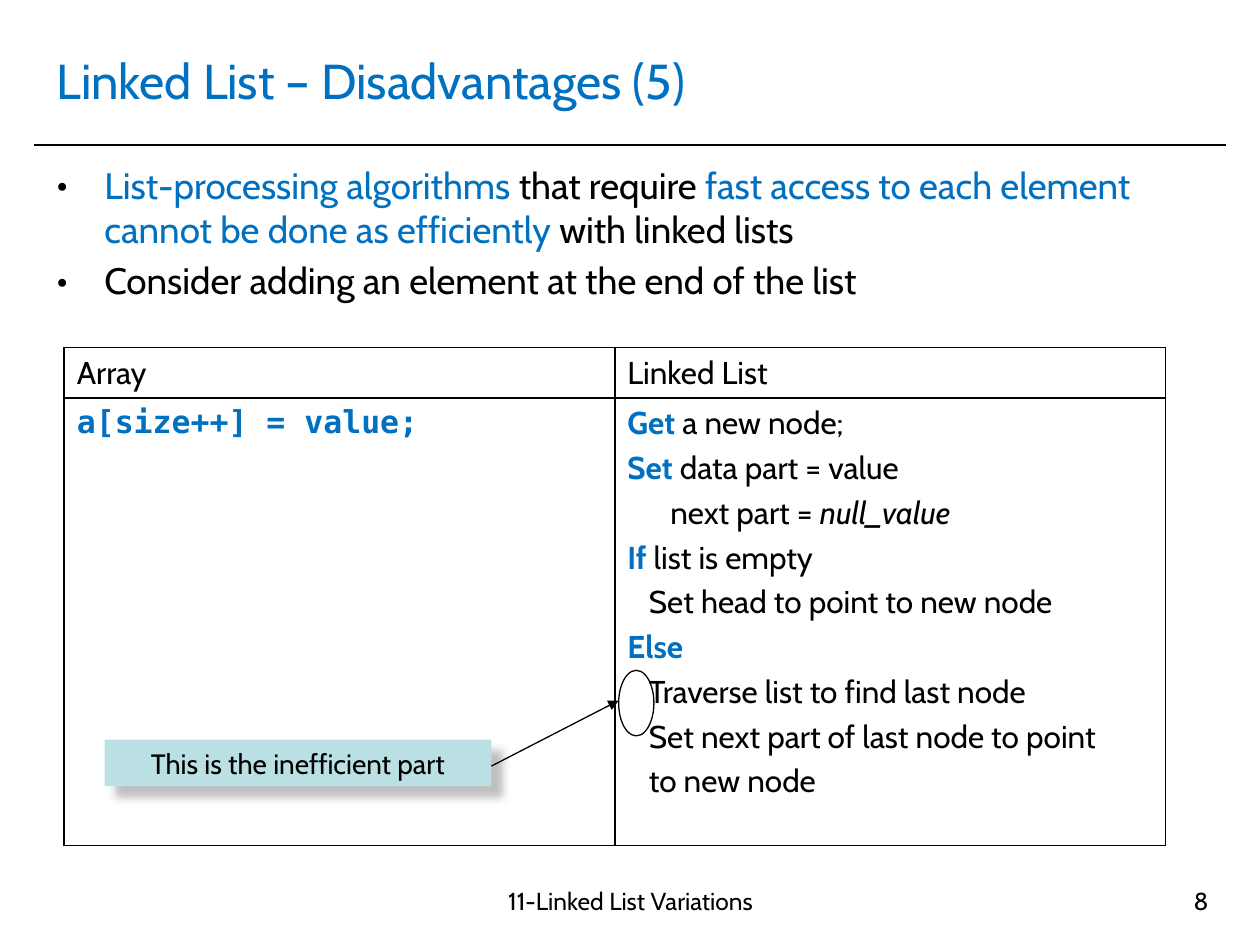
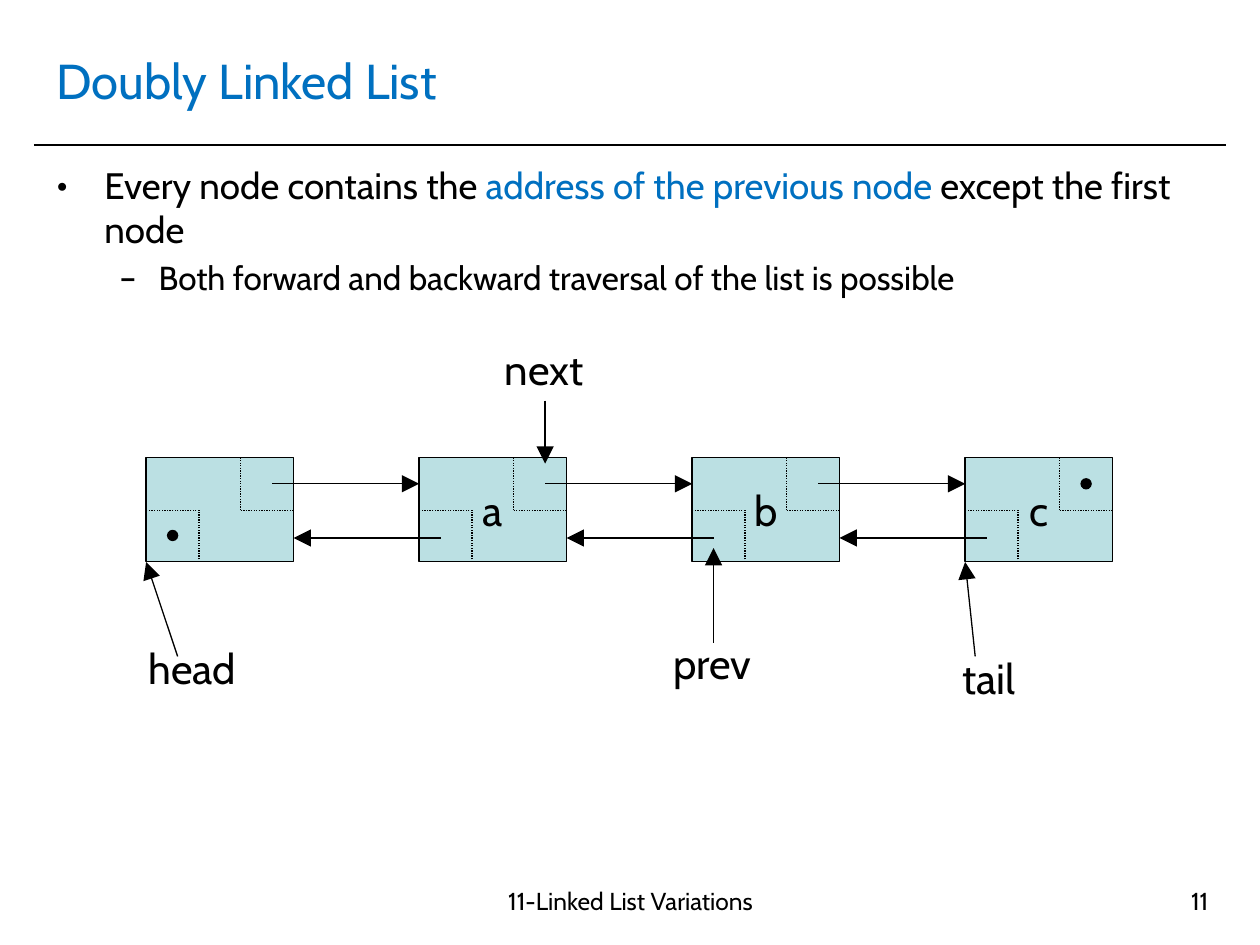
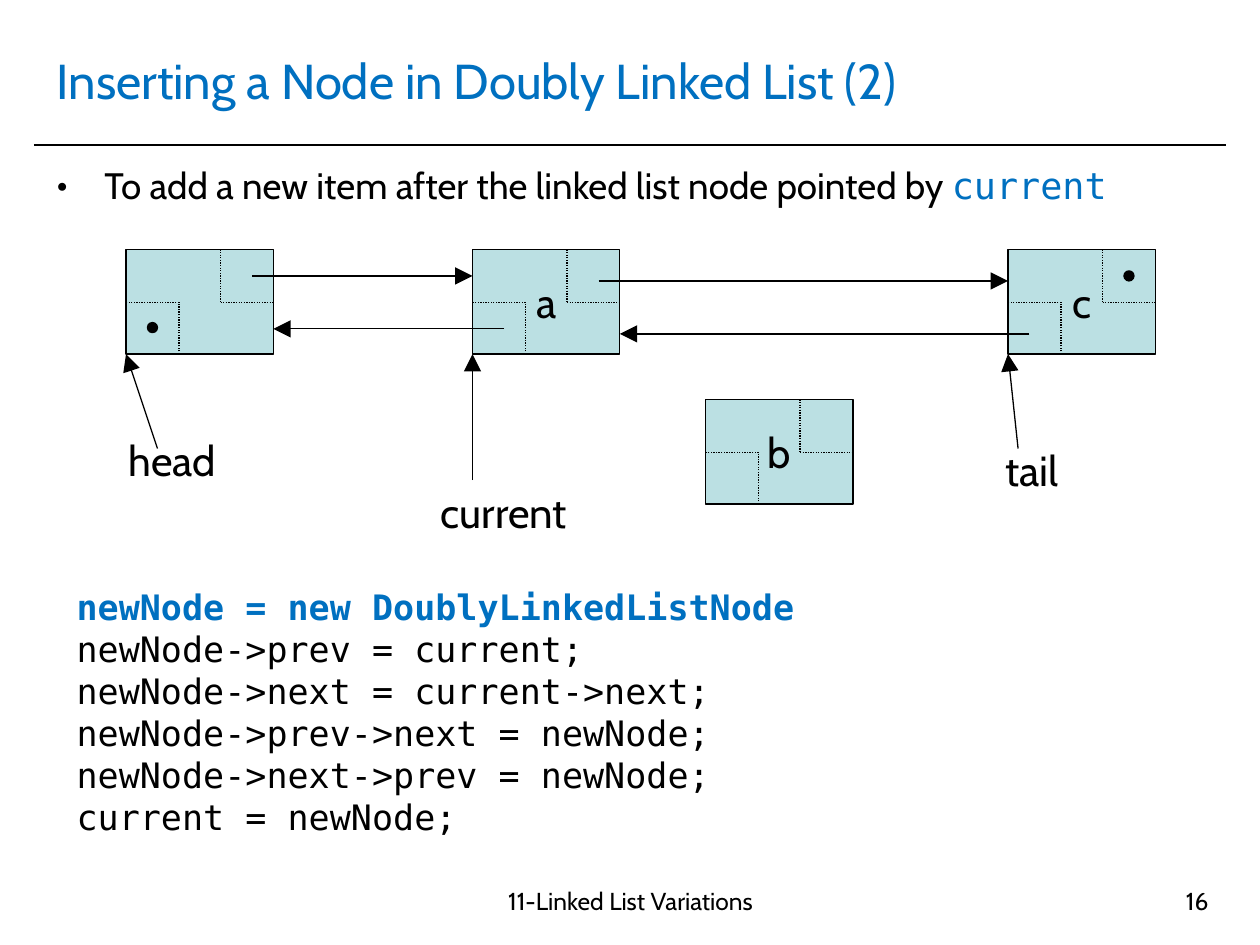
from lxml.etree import SubElement
from pptx import Presentation
from pptx.dml.color import RGBColor as Rgb
from pptx.enum.dml import MSO_LINE as Dash
from pptx.enum.shapes import MSO_CONNECTOR as Link, MSO_SHAPE as Form
from pptx.enum.text import MSO_ANCHOR as Anchor, MSO_AUTO_SIZE as Auto, PP_ALIGN as Align
from pptx.oxml.ns import qn
from pptx.util import Inches, Pt

HUES = {"ink": "000000", "blue": "0070C0", "aqua": "BBE0E3", "paper": "FFFFFF", "shade": "808080"}
SANS, MONO = "Cabin", "DejaVu Sans Mono"
WIDE, HIGH, CELL = 1.17, 0.83, 0.42


def hue(name):
    """Return the named colour."""
    return Rgb.from_string(HUES[name])


def child(parent, tag, **attrs):
    """Append a drawing element with the given attributes."""
    return SubElement(parent, qn("a:" + tag), {k: str(v) for k, v in attrs.items()})


def put(para, runs, size):
    """Add runs of (text, marks): c blue, m mono, b bold, i italic."""
    for text, marks in runs:
        run = para.add_run()
        run.text = text
        font = run.font
        font.name = MONO if "m" in marks else SANS
        font.size = Pt(size)
        font.bold = "b" in marks
        font.italic = "i" in marks
        font.color.rgb = hue("blue" if "c" in marks else "ink")


def lines(frame, items):
    """Yield each item with its own paragraph of the frame."""
    for num, item in enumerate(items):
        yield item, frame.add_paragraph() if num else frame.paragraphs[0]


def area(slide, box):
    """Add a wrapping text box and return its frame."""
    frame = slide.shapes.add_textbox(*map(Inches, box)).text_frame
    frame.word_wrap = True
    return frame


def label(slide, box, text, size=24, align=Align.LEFT):
    """Add a one-line text box."""
    para = area(slide, box).paragraphs[0]
    para.alignment = align
    put(para, [(text, "")], size)


def join(slide, start, end, width=0.75, dash=None, head=None):
    """Draw a straight line, with an arrowhead of the given size."""
    line = slide.shapes.add_connector(Link.STRAIGHT, *map(Inches, (*start, *end)))
    line.line.color.rgb = hue("ink")
    line.line.width = Pt(width)
    if dash:
        line.line.dash_style = dash
    if head:
        child(line._element.spPr.find(qn("a:ln")), "tailEnd", type="triangle", w=head, len=head)
    child(line._element.spPr, "effectLst")


def shape(slide, form, box, fill=None, edge=True):
    """Add a preset shape with flat fill and thin edge."""
    item = slide.shapes.add_shape(form, *map(Inches, box))
    item.shadow.inherit = False
    if fill:
        item.fill.solid()
        item.fill.fore_color.rgb = hue(fill)
    else:
        item.fill.background()
    if edge:
        item.line.color.rgb = hue("ink")
        item.line.width = Pt(0.75)
    else:
        item.line.fill.background()
    return item


def base(deck, title, page):
    """Add a slide with title, rule and footer."""
    slide = deck.slides.add_slide(deck.slide_layouts[5])
    head = slide.shapes.title
    head.left, head.top, head.width, head.height = map(Inches, (0.35, 0.21, 9.29, 0.85))
    frame = head.text_frame
    frame.auto_size = Auto.NONE
    frame.vertical_anchor = Anchor.MIDDLE
    frame.paragraphs[0].alignment = Align.LEFT
    put(frame.paragraphs[0], [(title, "c")], 28)
    join(slide, (0.27, 1.15), (9.73, 1.15), 1)
    label(slide, (3.35, 6.98, 3.31, 0.52), "11-Linked List Variations", 14, Align.CENTER)
    label(slide, (7.36, 6.98, 2.33, 0.52), str(page), 14, Align.RIGHT)
    return slide


def points(slide, high, items):
    """Add bulleted text from (level, runs) items."""
    frame = area(slide, (0.35, 1.24, 9.29, high))
    looks = [(0.38, 0.38, "•", 21), (0.81, 0.31, "–", 19)]
    for num, ((level, runs), para) in enumerate(lines(frame, items)):
        left, hang, sign, size = looks[level]
        para.level = level
        para.space_before = Pt(0.2 * size if num else 0)
        props = para._p.get_or_add_pPr()
        props.set("marL", str(Inches(left)))
        props.set("indent", str(-Inches(hang)))
        child(child(props, "buClr"), "srgbClr", val=HUES["ink"])
        child(props, "buFont", typeface=SANS)
        child(props, "buChar", char=sign)
        put(para, runs, size)


def border(cell):
    """Give a table cell a white fill and black borders."""
    props = cell._tc.get_or_add_tcPr()
    for side in ("lnL", "lnR", "lnT", "lnB"):
        edge = child(props, side, w=Pt(1))
        child(child(edge, "solidFill"), "srgbClr", val=HUES["ink"])
    cell.fill.solid()
    cell.fill.fore_color.rgb = hue("paper")


def grid(slide, box, rows, heights):
    """Add a table whose cells hold (indent, runs) lines."""
    table = slide.shapes.add_table(len(rows), len(rows[0]), *map(Inches, box)).table
    table.first_row = table.horz_banding = False
    for row, high, cells in zip(table.rows, heights, rows):
        row.height = Inches(high)
        for cell, items in zip(row.cells, cells):
            border(cell)
            for num, ((left, runs), para) in enumerate(lines(cell.text_frame, items)):
                para.space_before = Pt(3.6 if num else 0)
                para._p.get_or_add_pPr().set("marL", str(Inches(left)))
                put(para, runs, 18)


def callout(slide, box, text, ring):
    """Add a shadowed note with an arrow to a ring."""
    x, y, wide, high = box
    shape(slide, Form.OVAL, ring)
    note = shape(slide, Form.RECTANGLE, box, "aqua", False)
    cast = child(note._element.spPr.find(qn("a:effectLst")), "outerShdw",
                 blurRad=Pt(5), dist=Pt(8.5), dir=45 * 60000, algn="ctr", rotWithShape=0)
    child(child(cast, "srgbClr", val=HUES["shade"]), "alpha", val=50000)
    para = note.text_frame.paragraphs[0]
    para.alignment = Align.CENTER
    put(para, [(text, "")], 16)
    join(slide, (x + wide, y + 0.21), (ring[0], ring[1] + 0.24), head="med")


def dot(slide, x, y):
    """Mark an empty pointer with a dot."""
    shape(slide, Form.OVAL, (x, y, 0.08, 0.08), "ink")


def node(slide, x, y, text=""):
    """Draw a list node with its two dotted pointer cells."""
    item = shape(slide, Form.RECTANGLE, (x, y, WIDE, HIGH), "aqua")
    if text:
        frame = item.text_frame
        frame.word_wrap = False
        frame.vertical_anchor = Anchor.MIDDLE
        frame.paragraphs[0].alignment = Align.CENTER
        put(frame.paragraphs[0], [(text, "")], 24)
    mid = y + CELL
    for inner, outer, edge in ((x + WIDE - CELL, x + WIDE, y), (x + CELL, x, y + HIGH)):
        join(slide, (inner, edge), (inner, mid), dash=Dash.ROUND_DOT)
        join(slide, (inner, mid), (outer, mid), dash=Dash.ROUND_DOT)


def pair(slide, left, right, y, drop=0.21, back=0.17, gap=0.42):
    """Link two neighbour nodes forward and backward."""
    join(slide, (left + 1, y + drop), (right, y + drop), head="lg")
    low = y + drop + gap
    join(slide, (right + back, low), (left + WIDE, low), head="lg")


def ends(slide, first, last, y):
    """Add the empty pointers and the head and tail labels."""
    dot(slide, first + 0.17, y + 0.58)
    dot(slide, last + 0.92, y + 0.17)
    label(slide, (first - 0.08, y + 1.42, 1.08, 0.5), "head")
    label(slide, (last - 0.12, y + 1.5, 0.75, 0.5), "tail")
    for x, shift in ((first, 0.25), (last, 0.08)):
        join(slide, (x + shift, y + 1.58), (x, y + HIGH), head="lg")


def costs(deck):
    """Build the slide on slow access."""
    slide = base(deck, "Linked List – Disadvantages (5)", 8)
    points(slide, 1.34, [
        (0, [("List-processing algorithms ", "c"), ("that require ", ""),
             ("fast access to each element cannot be done as efficiently ", "c"),
             ("with linked lists", "")]),
        (0, [("Consider adding an element at the end of the list", "")]),
    ])
    steps = [
        (0, [("Get", "cb"), (" a new node;", "")]),
        (0, [("Set ", "cb"), ("data part = value", "")]),
        (0.34, [("next part = ", ""), ("null_value", "i")]),
        (0, [("If", "cb"), (" list is empty", "")]),
        (0.17, [("Set head to point to new node", "")]),
        (0, [("Else", "cb")]),
        (0.17, [("Traverse list to find last node", "")]),
        (0.17, [("Set next part of last node to point", "")]),
        (0.17, [("to new node", "")]),
    ]
    grid(slide, (0.51, 2.76, 8.74, 3.95), [
        [[(0, [("Array", "")])], [(0, [("Linked List", "")])]],
        [[(0, [("a[size++] = value;", "cmb")])], steps],
    ], (0.4, 3.55))
    callout(slide, (0.83, 5.87, 3.07, 0.37), "This is the inefficient part", (4.91, 5.32, 0.28, 0.52))


def chain(deck):
    """Build the slide on the doubly linked list."""
    slide = base(deck, "Doubly Linked List", 11)
    points(slide, 1.42, [
        (0, [("Every node contains the ", ""), ("address of the previous node ", "c"),
             ("except the first node", "")]),
        (1, [("Both forward and backward traversal of the list is possible", "")]),
    ])
    y = 3.63
    spots = [1.16 + num * 6.5 / 3 for num in range(4)]
    for x, text in zip(spots, ("", "a", "b", "c")):
        node(slide, x, y, text)
    for left, right in zip(spots, spots[1:]):
        pair(slide, left, right, y, gap=0.43)
    ends(slide, spots[0], spots[-1], y)
    tip = spots[1] + 1
    label(slide, (tip - 0.42, y - 0.95, 1.09, 0.5), "next")
    join(slide, (tip, y - 0.45), (tip, y + 0.05), head="lg")
    tip = spots[2] + 0.17
    label(slide, (tip - 0.42, y + 1.38, 1, 0.5), "prev")
    join(slide, (tip, y + 1.47), (tip, y + 0.72), head="lg")


def insert(deck):
    """Build the slide on adding a node."""
    slide = base(deck, "Inserting a Node in Doubly Linked List (2)", 16)
    points(slide, 0.5, [
        (0, [("To add a new item after the linked list node pointed by ", ""), ("current", "cm")]),
    ])
    y, first, near, last = 1.98, 1, 3.75, 8
    for x, top, text in ((first, y, ""), (near, y, "a"), (last, y, "c"), (5.6, 3.17, "b")):
        node(slide, x, top, text)
    pair(slide, first, near, y, back=0.25)
    pair(slide, near, last, y, drop=0.25)
    ends(slide, first, last, y)
    label(slide, (near - 0.35, y + 1.83, 1.3, 0.5), "current")
    join(slide, (near, y + 1.83), (near, y + HIGH), head="lg")
    code = [
        ("newNode = new DoublyLinkedListNode", "cmb"),
        ("newNode->prev = current;", "m"),
        ("newNode->next = current->next;", "m"),
        ("newNode->prev->next = newNode;", "m"),
        ("newNode->next->prev = newNode;", "m"),
        ("current = newNode;", "m"),
    ]
    for run, para in lines(area(slide, (0.51, 4.6, 6.26, 2.12)), code):
        para.line_spacing = Pt(24)
        put(para, [run], 20)


def main():
    """Build and save the deck."""
    deck = Presentation()
    deck.slide_width, deck.slide_height = Inches(10), Inches(7.5)
    for make in (costs, chain, insert):
        make(deck)
    deck.save("out.pptx")


if __name__ == "__main__":
    main()
